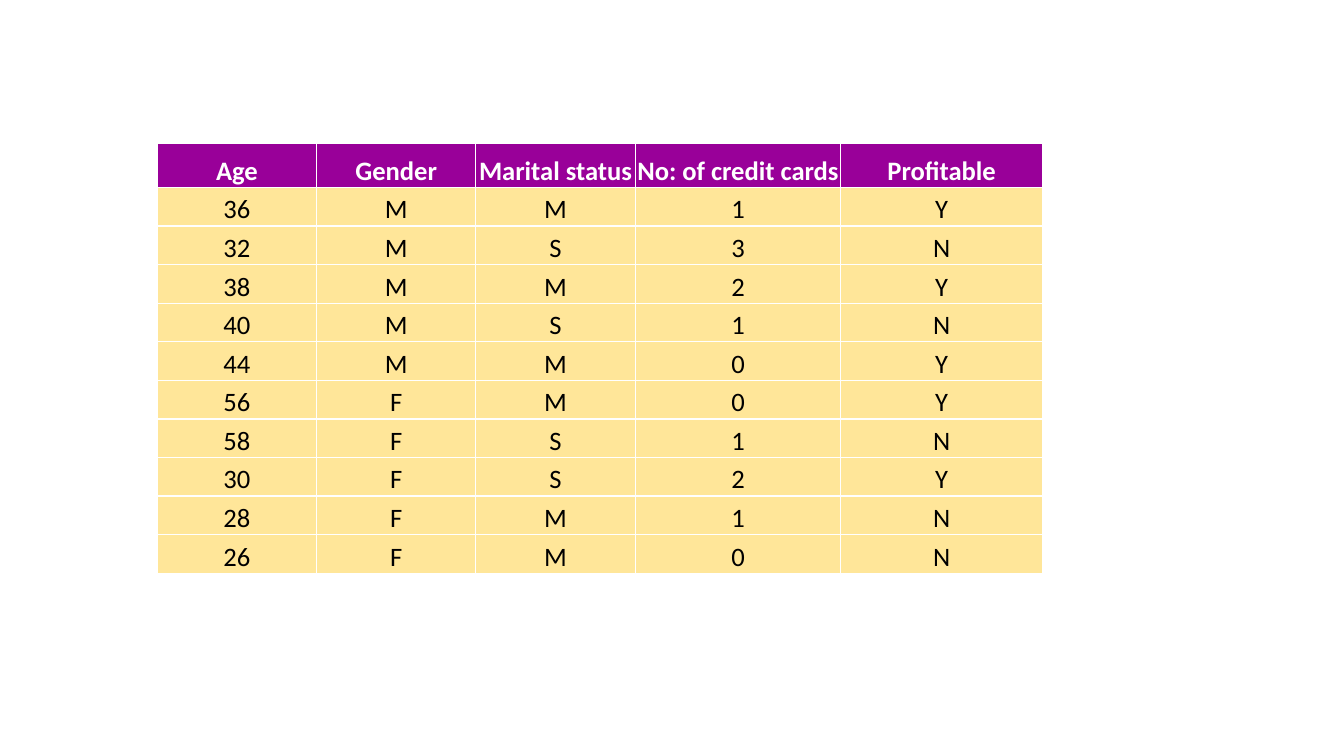
from dataclasses import dataclass

from lxml import etree
from pptx import Presentation
from pptx import util as u
from pptx.dml.color import RGBColor
from pptx.enum import text
from pptx.oxml import ns


@dataclass(frozen=True)
class Theme:
    font: str = "Calibri"
    size: float = 19
    header_fill: str = "990099"
    header_text: str = "FFFFFF"
    body_fill: str = "FFE699"
    body_text: str = "000000"
    border: str = "FFFFFF"
    border_width: float = 1


THEME = Theme()

HEADERS = ["Age", "Gender", "Marital status", "No: of credit cards", "Profitable"]
CUSTOMERS = [
    "36 M M 1 Y",
    "32 M S 3 N",
    "38 M M 2 Y",
    "40 M S 1 N",
    "44 M M 0 Y",
    "56 F M 0 Y",
    "58 F S 1 N",
    "30 F S 2 Y",
    "28 F M 1 N",
    "26 F M 0 N",
]
COLUMN_WIDTHS = [1.58, 1.58, 1.58, 2.04, 2]
HEADER_HEIGHT = 0.44


def add_borders(cell):
    """Draw a solid line on each side of a cell."""
    tc_pr = cell._tc.get_or_add_tcPr()
    for side in ("a:lnL", "a:lnR", "a:lnT", "a:lnB"):
        ln = etree.SubElement(tc_pr, ns.qn(side), w=str(u.Pt(THEME.border_width)))
        fill = etree.SubElement(ln, ns.qn("a:solidFill"))
        etree.SubElement(fill, ns.qn("a:srgbClr"), val=THEME.border)


def fill_cell(cell, value, is_header):
    # Borders come before the fill in the cell properties
    add_borders(cell)
    cell.fill.solid()
    cell.fill.fore_color.rgb = RGBColor.from_string(
        THEME.header_fill if is_header else THEME.body_fill)

    # Placement of the text
    cell.margin_left = cell.margin_right = cell.margin_top = u.Inches(0.01)
    cell.margin_bottom = 0
    cell.vertical_anchor = text.MSO_ANCHOR.BOTTOM
    p = cell.text_frame.paragraphs[0]
    p.alignment = text.PP_ALIGN.CENTER

    # Text
    r = p.add_run()
    r.text = value
    r.font.name = THEME.font
    r.font.size = u.Pt(THEME.size)
    r.font.bold = is_header
    r.font.color.rgb = RGBColor.from_string(
        THEME.header_text if is_header else THEME.body_text)


def add_customer_table(s, left, top, width, height):
    rows = [HEADERS] + [line.split() for line in CUSTOMERS]
    table = s.shapes.add_table(
        len(rows), len(HEADERS), u.Inches(left), u.Inches(top),
        u.Inches(width), u.Inches(height)).table

    # Columns share the box width; body rows share the height below the header
    for column, share in zip(table.columns, COLUMN_WIDTHS):
        column.width = u.Inches(width * share / sum(COLUMN_WIDTHS))
    body_height = (height - HEADER_HEIGHT) / len(CUSTOMERS)

    for i, values in enumerate(rows):
        table.rows[i].height = u.Inches(body_height if i else HEADER_HEIGHT)
        for j, value in enumerate(values):
            fill_cell(table.cell(i, j), value, is_header=i == 0)


def main():
    prs = Presentation()
    prs.slide_width, prs.slide_height = u.Inches(13.33), u.Inches(7.5)
    s = prs.slides.add_slide(prs.slide_layouts[6])
    add_customer_table(s, 1.56, 1.42, 8.78, 4.27)
    prs.save("out.pptx")


if __name__ == "__main__":
    main()
